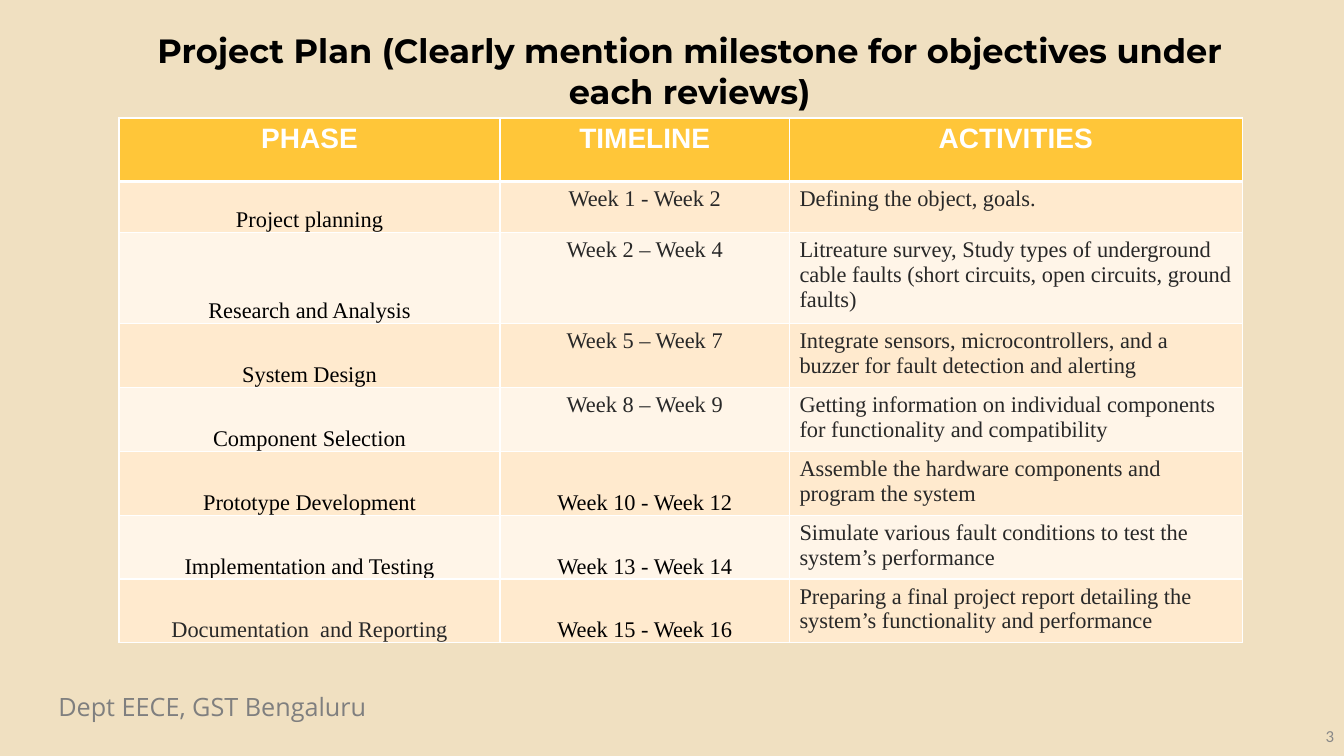
from lxml import etree
from pptx import Presentation
from pptx.dml.color import RGBColor
from pptx.enum.text import MSO_ANCHOR, PP_ALIGN
from pptx.oxml.ns import qn
from pptx.util import Inches, Pt

LEFT, CENTER, RIGHT = PP_ALIGN.LEFT, PP_ALIGN.CENTER, PP_ALIGN.RIGHT
TOP, MIDDLE, BOTTOM = MSO_ANCHOR.TOP, MSO_ANCHOR.MIDDLE, MSO_ANCHOR.BOTTOM

HEADINGS = ["PHASE", "TIMELINE", "ACTIVITIES"]
PHASES = [
    ("Project planning", "Week 1 - Week 2", "Defining the object, goals."),
    ("Research and Analysis", "Week 2 – Week 4",
     "Litreature survey, Study types of underground cable faults "
     "(short circuits, open circuits, ground faults)"),
    ("System Design", "Week 5 – Week 7",
     "Integrate sensors, microcontrollers, and a buzzer for fault detection and alerting"),
    ("Component Selection", "Week 8 – Week 9",
     "Getting information on individual components for functionality and compatibility"),
    ("Prototype Development", "Week 10 - Week 12",
     "Assemble the hardware components and program the system"),
    ("Implementation and Testing", "Week 13 - Week 14",
     "Simulate various fault conditions to test the system’s performance"),
    ("Documentation  and Reporting", "Week 15 - Week 16",
     "Preparing a final project report detailing the system’s functionality and performance"),
]
COLUMN_WIDTHS = [3.78, 2.87, 4.49]
ROW_HEIGHTS = [0.63, 0.51, 0.9] + [0.63] * 5
FIRST_LOW_TIMELINE = 5  # from this row on, the timeline sits at the cell bottom


def color(value):
    return RGBColor.from_string(value)


class PlanSlide:
    BACKGROUND, WHITE, BLACK, INK = "F0E0C1", "FFFFFF", "000000", "282828"
    HEADER, BANDS = "FFC639", ("FFF5E8", "FFEACE")

    def __init__(self, presentation):
        self.slide = presentation.slides.add_slide(presentation.slide_layouts[6])
        fill = self.slide.background.fill
        fill.solid()
        fill.fore_color.rgb = color(self.BACKGROUND)

    def set_text(self, frame, text, font, size, ink, align, bold=False):
        paragraph = frame.paragraphs[0]
        paragraph.text = text
        paragraph.alignment = align
        paragraph.font.name = font
        paragraph.font.size = Pt(size)
        paragraph.font.bold = bold
        paragraph.font.color.rgb = color(ink)

    def text(self, box, text, font, size, ink, align=LEFT, anchor=TOP, bold=False):
        frame = self.slide.shapes.add_textbox(*map(Inches, box)).text_frame
        frame.word_wrap = True
        frame.vertical_anchor = anchor
        self.set_text(frame, text, font, size, ink, align, bold)

    def borders(self, cell, bottom):
        properties = cell._tc.get_or_add_tcPr()
        for place, (side, width) in enumerate(
                [("lnL", 1), ("lnR", 1), ("lnT", 1), ("lnB", bottom)]):
            line = etree.Element(qn(f"a:{side}"), w=str(Pt(width)))
            solid = etree.SubElement(line, qn("a:solidFill"))
            etree.SubElement(solid, qn("a:srgbClr"), val=self.WHITE)
            properties.insert(place, line)

    def cell(self, cell, text, fill, font, size, ink, align, bold=False,
             low=False, bottom=1):
        cell.fill.solid()
        cell.fill.fore_color.rgb = color(fill)
        if low:
            cell.vertical_anchor = BOTTOM
            cell.margin_left = cell.margin_right = cell.margin_top = Inches(0.01)
            cell.margin_bottom = 0
        self.set_text(cell.text_frame, text, font, size, ink, align, bold)
        self.borders(cell, bottom)

    def plan_table(self, left, top):
        table = self.slide.shapes.add_table(
            len(ROW_HEIGHTS), len(COLUMN_WIDTHS), Inches(left), Inches(top),
            Inches(sum(COLUMN_WIDTHS)), Inches(sum(ROW_HEIGHTS))).table
        for column, width in zip(table.columns, COLUMN_WIDTHS):
            column.width = Inches(width)
        for row, height in zip(table.rows, ROW_HEIGHTS):
            row.height = Inches(height)

        for col, heading in enumerate(HEADINGS):
            self.cell(table.cell(0, col), heading, self.HEADER, "Arial", 20,
                      self.WHITE, CENTER, bold=True, bottom=3)
        for row, entries in enumerate(PHASES, start=1):
            for col, entry in enumerate(entries):
                low = col == 0 or (col == 1 and row >= FIRST_LOW_TIMELINE)
                last_phase = col == 0 and row == len(PHASES)
                self.cell(table.cell(row, col), entry, self.BANDS[row % 2],
                          "Times New Roman", 16,
                          self.BLACK if low and not last_phase else self.INK,
                          LEFT if col == 2 else CENTER, low=low)


def main():
    presentation = Presentation()
    presentation.slide_width = Inches(13.33)
    presentation.slide_height = Inches(7.5)
    plan = PlanSlide(presentation)

    # Footer and page number
    plan.text((0.48, 6.81, 5.24, 0.4), "Dept EECE, GST Bengaluru",
              "Open Sans", 18, "7F7F7F")
    plan.text((10.33, 7.1, 3, 0.4), "3", "Calibri", 12, "888888", RIGHT, MIDDLE)

    # Title
    plan.text((1.09, 0.25, 11.5, 0.54),
              "Project Plan (Clearly mention milestone for objectives under each reviews)",
              "Montserrat", 24, plan.BLACK, CENTER, bold=True)

    # Phases, weeks and activities
    plan.plan_table(1.18, 1.17)

    presentation.save("out.pptx")


if __name__ == "__main__":
    main()
